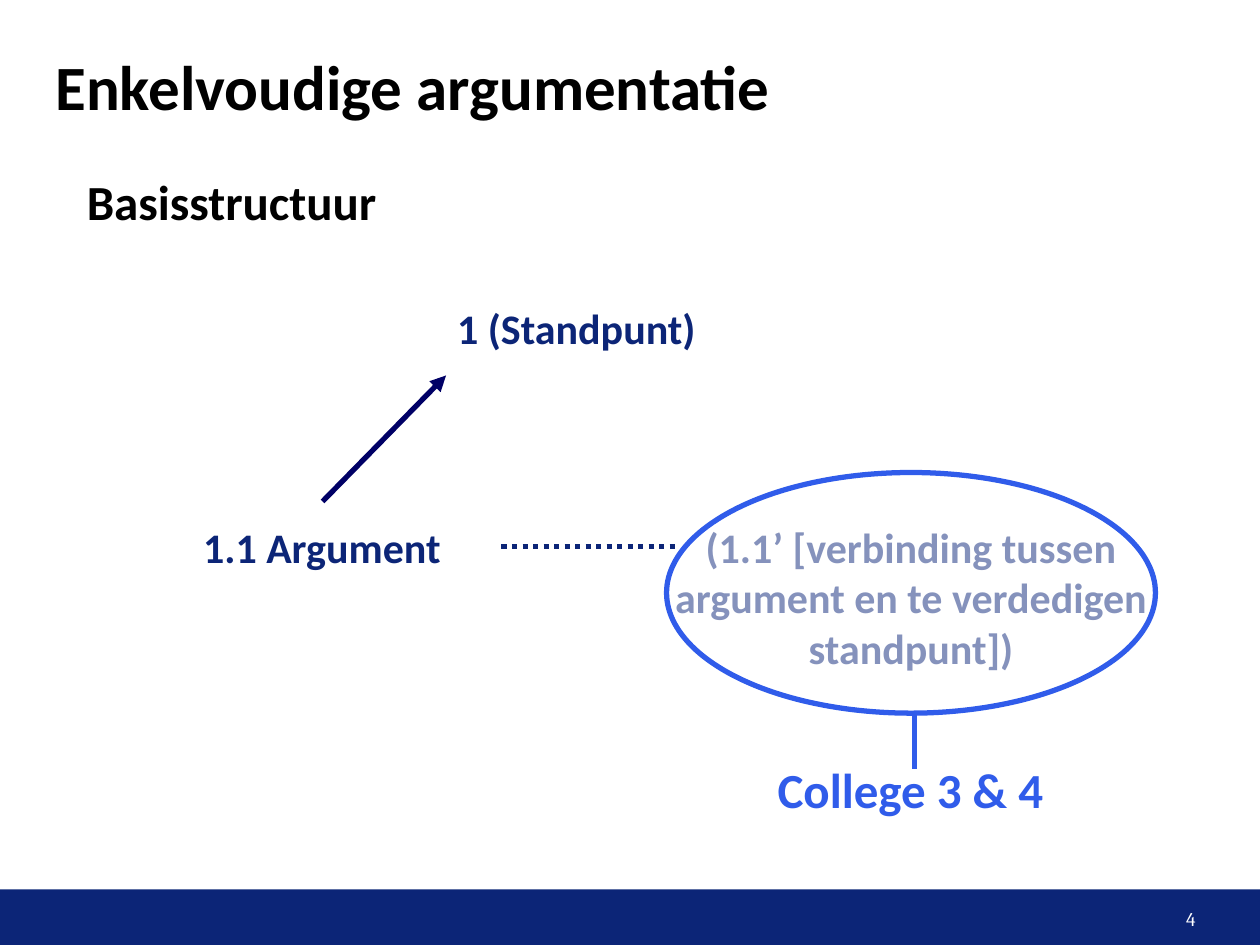
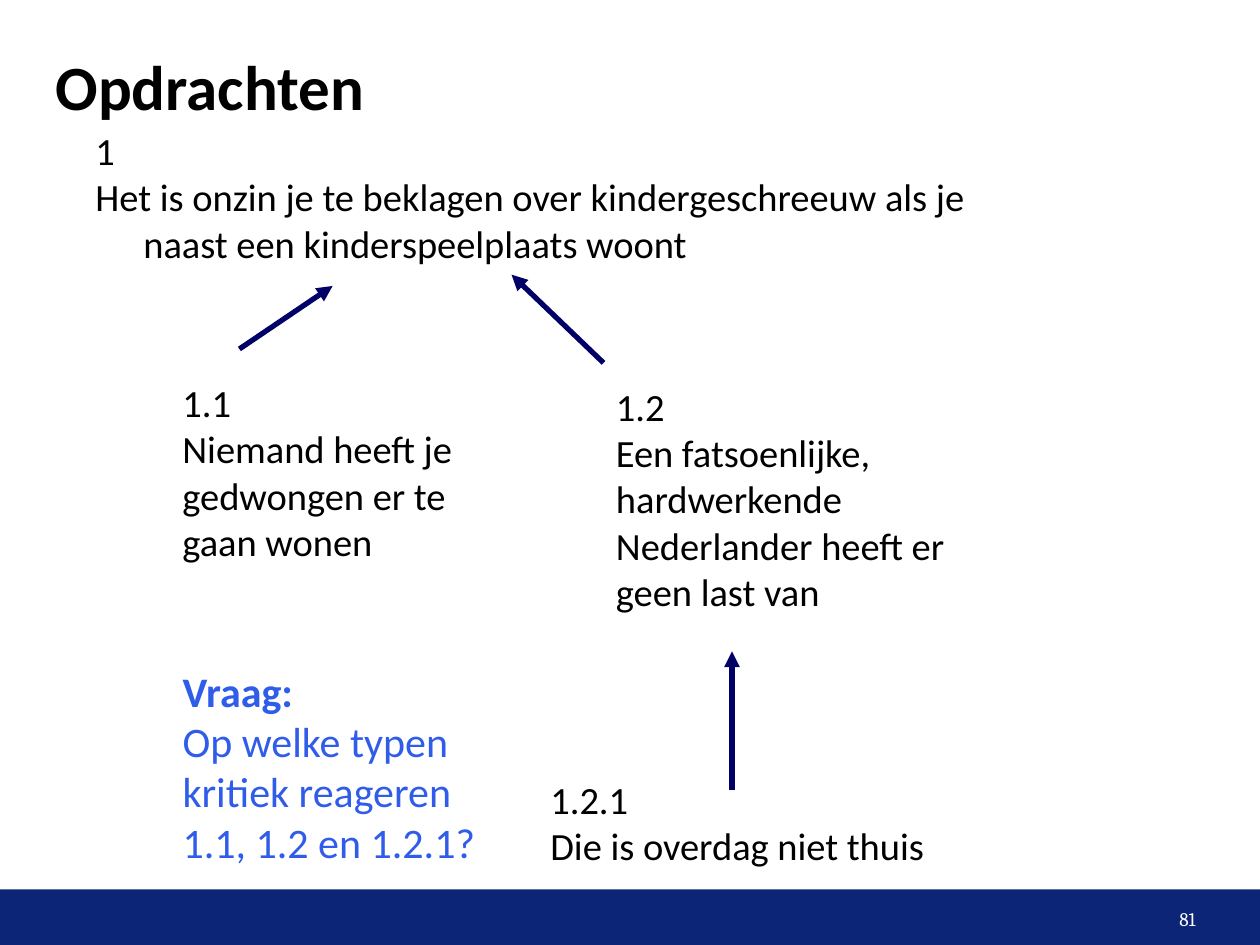
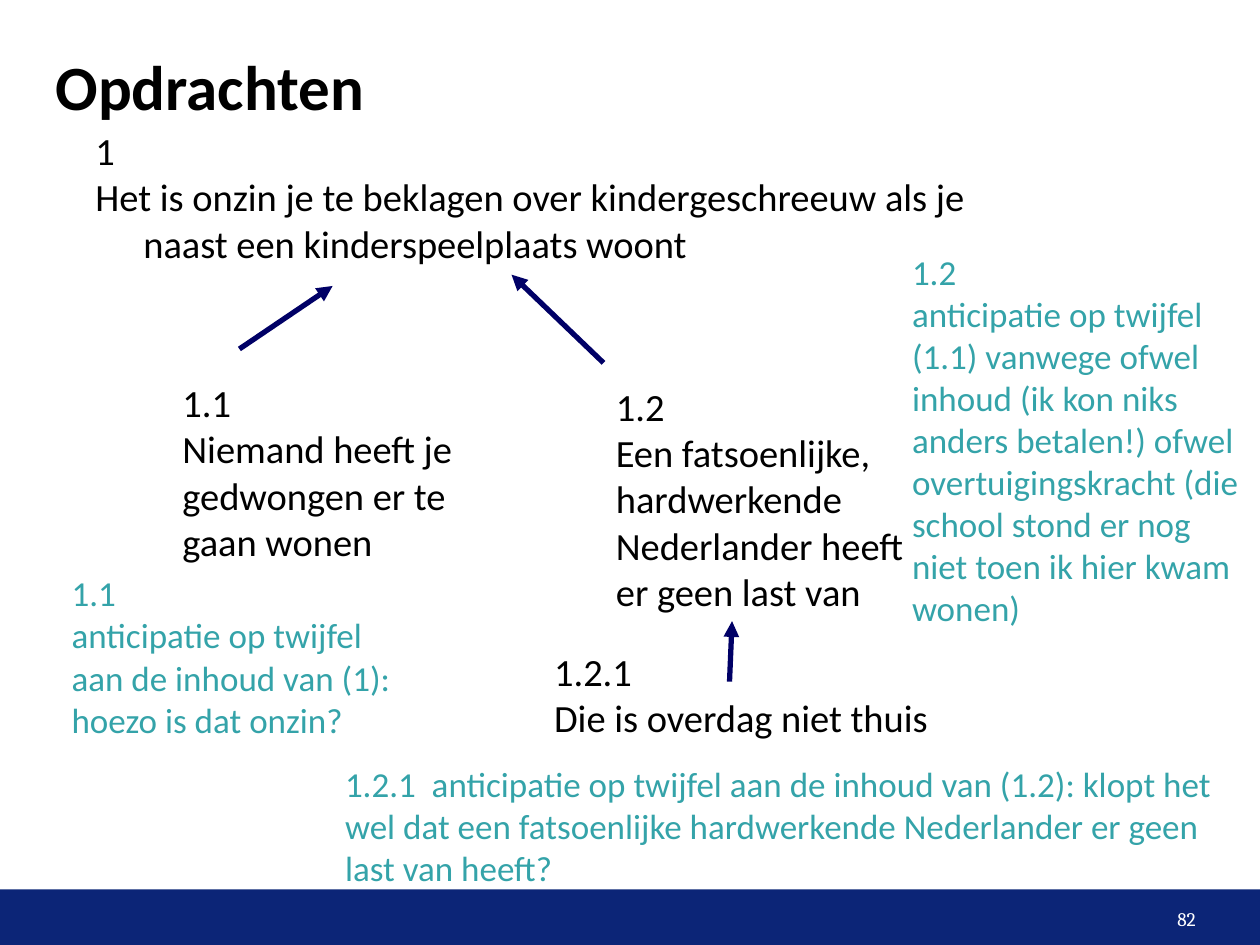
import pptx
import pptx.util
import pptx.dml.color
import pptx.enum.dml
import pptx.enum.shapes
import pptx.enum.text
import pptx.oxml.ns
import lxml.etree

Inches = pptx.util.Inches
Pt = pptx.util.Pt
RGB = pptx.dml.color.RGBColor
ALIGN = pptx.enum.text.PP_ALIGN
KIND = pptx.enum.shapes.MSO_SHAPE
DASH = pptx.enum.dml.MSO_LINE

NAVY = RGB(0x0C, 0x25, 0x77)
INK = RGB(0x00, 0x00, 0x66)
BLUE = RGB(0x30, 0x5C, 0xEA)
PALE = RGB(0x85, 0x92, 0xBC)
TEAL = RGB(0x34, 0xA3, 0xA9)
BLACK = RGB(0, 0, 0)
WHITE = RGB(0xFF, 0xFF, 0xFF)

BASIC = [
    ((0.59, 1.31, 6.99, 0.98), "Basisstructuur", 28, BLACK, ALIGN.LEFT),
    ((3.08, 2.35, 2.99, 0.5), "1 (Standpunt)", 24, NAVY, ALIGN.CENTER),
    ((1.14, 4.09, 2.83, 0.5), "1.1 Argument", 24, NAVY, ALIGN.CENTER),
    ((5.22, 4.09, 4.02, 1.31),
     "(1.1’ [verbinding tussen argument en te verdedigen standpunt])",
     24, PALE, ALIGN.CENTER),
    ((5.81, 5.98, 2.83, 0.57), "College 3 & 4", 28, BLUE, ALIGN.CENTER),
]

CLAIM = ["1", "Het is onzin je te beklagen over kindergeschreeuw als je "
         "naast een kinderspeelplaats woont"]
FORCED = ["1.1", "Niemand heeft je gedwongen er te gaan wonen"]
DECENT = ["1.2", "Een fatsoenlijke, hardwerkende Nederlander heeft er geen last van"]
AWAY = ["1.2.1", "Die is overdag niet thuis"]
ASK = ["Vraag:", "Op welke typen kritiek reageren 1.1, 1.2 en 1.2.1?"]

NOTES = [
    ((0.47, 4.49, 2.8, 1.45),
     ["1.1", "anticipatie op twijfel aan de inhoud van (1): hoezo is dat onzin?"]),
    ((7.14, 1.94, 2.83, 3.13),
     ["1.2", "anticipatie op twijfel (1.1) vanwege ofwel inhoud (ik kon niks "
      "anders betalen!) ofwel overtuigingskracht (die school stond er nog "
      "niet toen ik hier kwam wonen)"]),
    ((2.64, 6, 7.13, 1.11),
     ["1.2.1  anticipatie op twijfel aan de inhoud van (1.2): klopt het wel "
      "dat een fatsoenlijke hardwerkende Nederlander er geen last van heeft?"]),
]


def put_text(slide, box, lines, size, color=BLACK, bold=False,
             align=ALIGN.LEFT, font="Calibri", pad=None, hang=0):
    shape = slide.shapes.add_textbox(*map(Inches, box))
    frame = shape.text_frame
    frame.word_wrap = True
    if pad:
        frame.vertical_anchor = pptx.enum.text.MSO_ANCHOR.MIDDLE
        frame.margin_left = frame.margin_right = Inches(pad[0])
        frame.margin_top = frame.margin_bottom = Inches(pad[1])
    frame.text = "\n".join(lines)
    for par in frame.paragraphs:
        par.alignment = align
        if hang:
            props = par._p.get_or_add_pPr()
            props.set("marL", str(Inches(hang)))
            props.set("indent", str(-Inches(hang)))
        for run in par.runs:
            run.font.name = font
            run.font.size = Pt(size)
            run.font.bold = bold
            run.font.color.rgb = color
    return frame


def put_line(slide, start, end, color=INK, dash=None, arrow=False):
    line = slide.shapes.add_connector(
        pptx.enum.shapes.MSO_CONNECTOR.STRAIGHT, *map(Inches, start + end))
    line.line.color.rgb = color
    line.line.width = Pt(3)
    if dash:
        line.line.dash_style = dash
    qn = pptx.oxml.ns.qn
    if arrow:
        lxml.etree.SubElement(line.line._get_or_add_ln(), qn("a:tailEnd"),
                              type="triangle")
    lxml.etree.SubElement(line._element.spPr, qn("a:effectLst"))


def put_shape(slide, kind, box):
    shape = slide.shapes.add_shape(kind, *map(Inches, box))
    shape.shadow.inherit = False
    return shape


def new_slide(deck, title, page):
    slide = deck.slides.add_slide(deck.slide_layouts[6])
    band = put_shape(slide, KIND.RECTANGLE, (0, 7.06, 10, 0.44))
    band.fill.solid()
    band.fill.fore_color.rgb = NAVY
    band.line.fill.background()
    put_text(slide, (7.31, 7.06, 2.25, 0.46), [str(page)], 11, WHITE,
             align=ALIGN.RIGHT, font="Cambria", pad=(0.07, 0.04))
    put_text(slide, (0.44, 0.44, 9.11, 0.47), [title], 36, bold=True, pad=(0, 0))
    return slide


def draw_basic(deck):
    slide = new_slide(deck, "Enkelvoudige argumentatie", 4)
    for box, text, size, color, align in BASIC:
        put_text(slide, box, [text], size, color, True, align)
    put_line(slide, (2.56, 3.98), (3.54, 2.98), arrow=True)
    put_line(slide, (3.98, 4.34), (5.36, 4.34), NAVY, DASH.ROUND_DOT)
    ring = put_shape(slide, KIND.OVAL, (5.29, 3.75, 3.88, 1.91))
    ring.fill.background()
    ring.line.color.rgb = BLUE
    ring.line.width = Pt(3)
    put_line(slide, (7.26, 5.66), (7.26, 6.1), BLUE)


def draw_task(deck, page, wide, away, start, end):
    slide = new_slide(deck, "Opdrachten", page)
    put_text(slide, (0.66, 0.96, 7.24, 1.21), CLAIM, 22, hang=0.38)
    put_text(slide, (1.35, 2.96, 2.37, 1.58), FORCED, 22)
    put_text(slide, (4.79, 2.99, wide, 1.95), DECENT, 22)
    put_text(slide, away + (3.54, 0.84), AWAY, 22)
    put_line(slide, (1.9, 2.77), (2.64, 2.27), arrow=True)
    put_line(slide, (4.79, 2.88), (4.06, 2.18), arrow=True)
    put_line(slide, start, end, arrow=True)
    return slide


def main():
    deck = pptx.Presentation()
    deck.slide_width = Inches(10)
    deck.slide_height = Inches(7.5)

    draw_basic(deck)

    task = draw_task(deck, 81, 2.99, (4.27, 6.11), (5.81, 6.27), (5.81, 5.17))
    ask = put_text(task, (1.35, 5.23, 2.58, 1.72), ASK, 24, BLUE)
    ask.paragraphs[0].runs[0].font.bold = True

    reply = draw_task(deck, 82, 2.56, (4.3, 5.09), (5.79, 5.41), (5.81, 4.93))
    for box, lines in NOTES:
        put_text(reply, box, lines, 20, TEAL)

    deck.save("out.pptx")


if __name__ == "__main__":
    main()
